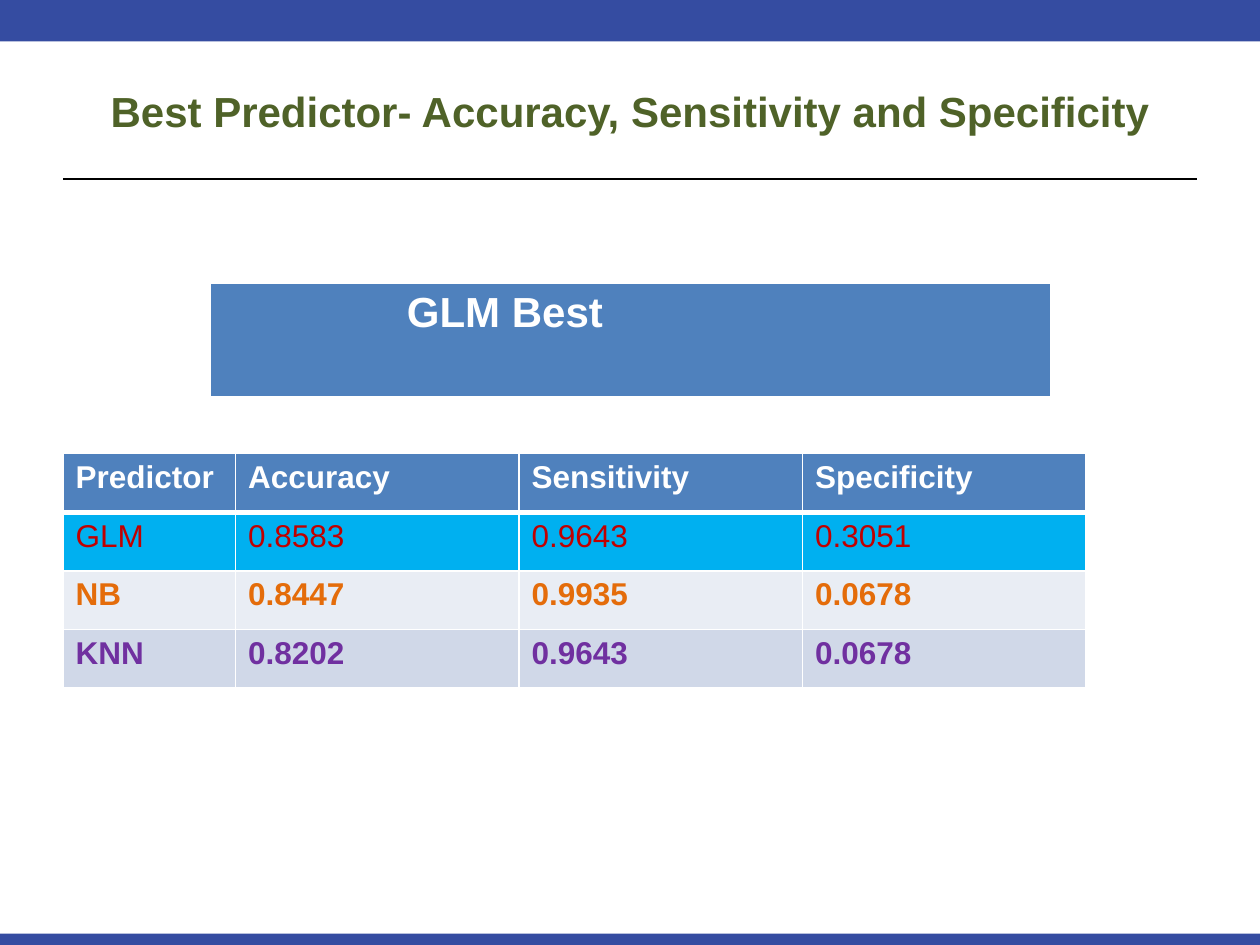
from dataclasses import dataclass

from lxml import etree
from pptx import Presentation
from pptx.dml.color import RGBColor
from pptx.enum.shapes import MSO_CONNECTOR, MSO_SHAPE
from pptx.enum.text import MSO_ANCHOR, PP_ALIGN
from pptx.oxml.ns import qn
from pptx.util import Inches, Pt

RECTANGLE = MSO_SHAPE.RECTANGLE
STRAIGHT = MSO_CONNECTOR.STRAIGHT
MIDDLE = MSO_ANCHOR.MIDDLE
CENTER = PP_ALIGN.CENTER

FONT = "Arial"
WHITE = "FFFFFF"
BAND_BLUE = "354CA1"
HEADER_BLUE = "4F81BD"
THIN, THICK = 1, 3
TITLE_ONLY = 5


@dataclass
class Row:
    texts: list[str]
    fill: str
    color: str
    bold: bool = True
    size: float = 18
    top_border: float = THIN
    bottom_border: float = THIN
    margin_left: float = 0.1


def rgb(value: str) -> RGBColor:
    return RGBColor.from_string(value)


def style_text(paragraph, size: float, color: str, bold: bool) -> None:
    font = paragraph.font
    font.name = FONT
    font.size = Pt(size)
    font.bold = bold
    font.color.rgb = rgb(color)


def add_band(slide, top: float, height: float) -> None:
    band = slide.shapes.add_shape(
        RECTANGLE, 0, Inches(top), Inches(10), Inches(height))
    band.shadow.inherit = False
    band.fill.solid()
    band.fill.fore_color.rgb = rgb(BAND_BLUE)
    band.line.fill.background()


def add_rule(slide, left: float, right: float, y: float) -> None:
    rule = slide.shapes.add_connector(
        STRAIGHT, Inches(left), Inches(y), Inches(right), Inches(y))
    rule.line.color.rgb = rgb("000000")
    rule.line.width = Pt(1.25)
    etree.SubElement(rule._element.spPr, qn("a:effectLst"))


def set_borders(cell, top: float, bottom: float) -> None:
    """Draw white cell borders; call before the fill, which must follow them."""
    properties = cell._tc.get_or_add_tcPr()
    widths = {"a:lnL": THIN, "a:lnR": THIN, "a:lnT": top, "a:lnB": bottom}
    for tag, width in widths.items():
        border = etree.SubElement(properties, qn(tag), w=str(Pt(width)))
        fill = etree.SubElement(border, qn("a:solidFill"))
        etree.SubElement(fill, qn("a:srgbClr"), val=WHITE)


def add_grid(slide, left: float, top: float, column_widths: list[float],
             row_height: float, rows: list[Row]) -> None:
    table = slide.shapes.add_table(
        len(rows), len(column_widths), Inches(left), Inches(top),
        Inches(sum(column_widths)), Inches(row_height * len(rows))).table
    for column, width in zip(table.columns, column_widths):
        column.width = Inches(width)
    for table_row, row in zip(table.rows, rows):
        table_row.height = Inches(row_height)
        for cell, text in zip(table_row.cells, row.texts):
            cell.text = text
            cell.margin_left = Inches(row.margin_left)
            style_text(cell.text_frame.paragraphs[0],
                       row.size, row.color, row.bold)
            set_borders(cell, row.top_border, row.bottom_border)
            cell.fill.solid()
            cell.fill.fore_color.rgb = rgb(row.fill)


def add_title(slide, text: str) -> None:
    title = slide.shapes.title
    title.left, title.top = Inches(0.5), Inches(0.25)
    title.width, title.height = Inches(9), Inches(1.25)
    title.text = text
    title.text_frame.vertical_anchor = MIDDLE
    heading = title.text_frame.paragraphs[0]
    heading.alignment = CENTER
    style_text(heading, 24, "4F6228", True)


def main() -> None:
    presentation = Presentation()
    presentation.slide_width = Inches(10)
    presentation.slide_height = Inches(7.5)
    slide = presentation.slides.add_slide(
        presentation.slide_layouts[TITLE_ONLY])

    add_band(slide, 7.41, 0.09)
    add_band(slide, 0, 0.33)
    add_rule(slide, 0.5, 9.5, 1.42)
    add_title(slide, "Best Predictor- Accuracy, Sensitivity and Specificity")

    scores = [
        Row(["Predictor", "Accuracy", "Sensitivity", "Specificity"],
            HEADER_BLUE, WHITE, bottom_border=THICK),
        Row(["GLM", "0.8583", "0.9643", "0.3051"],
            "00B0F0", "C00000", bold=False, top_border=THICK),
        Row(["NB", "0.8447", "0.9935", "0.0678"], "E9EDF4", "E46C0A"),
        Row(["KNN", "0.8202", "0.9643", "0.0678"], "D0D8E8", "7030A0"),
    ]
    add_grid(slide, 0.5, 3.6, [1.37] + [2.25] * 3, 0.465, scores)

    verdict = Row(["GLM Best"], HEADER_BLUE, WHITE, size=24,
                  bottom_border=THICK, margin_left=1.56)
    add_grid(slide, 1.67, 2.25, [6.67], 0.91, [verdict])

    presentation.save("out.pptx")


if __name__ == "__main__":
    main()
